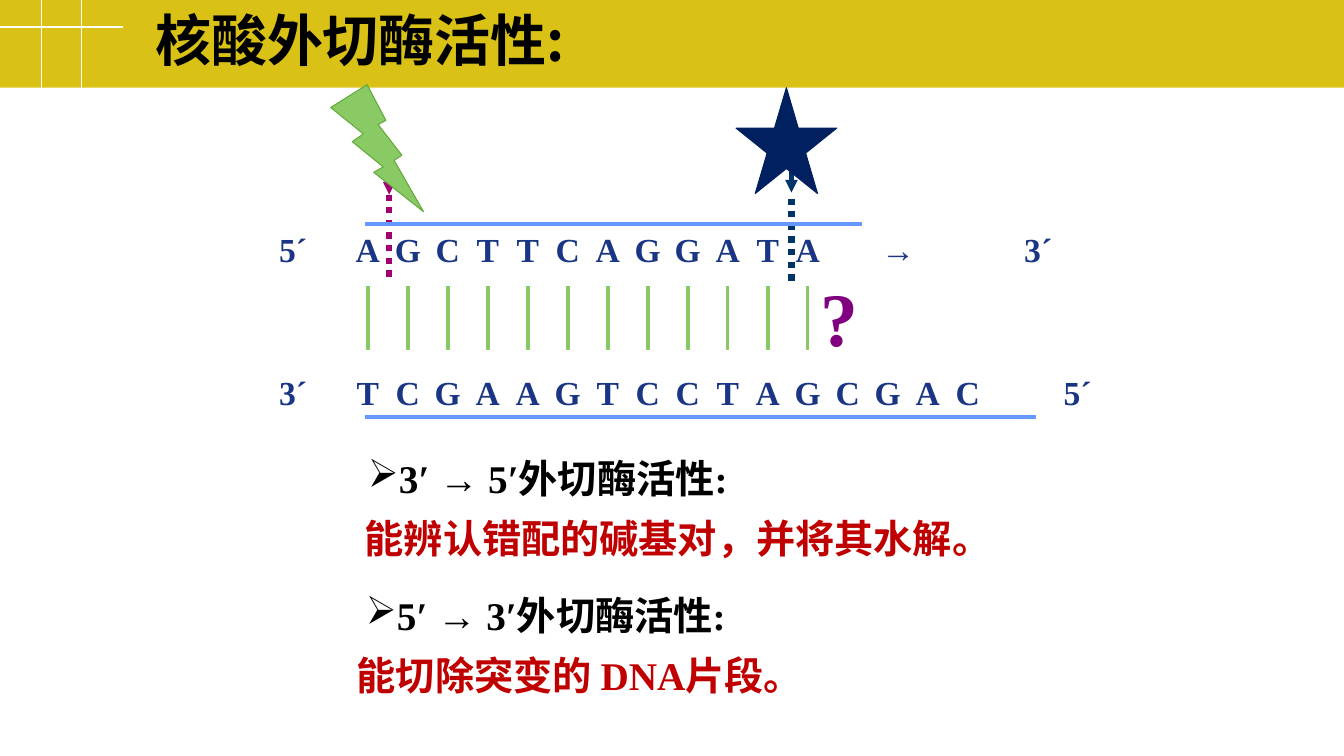
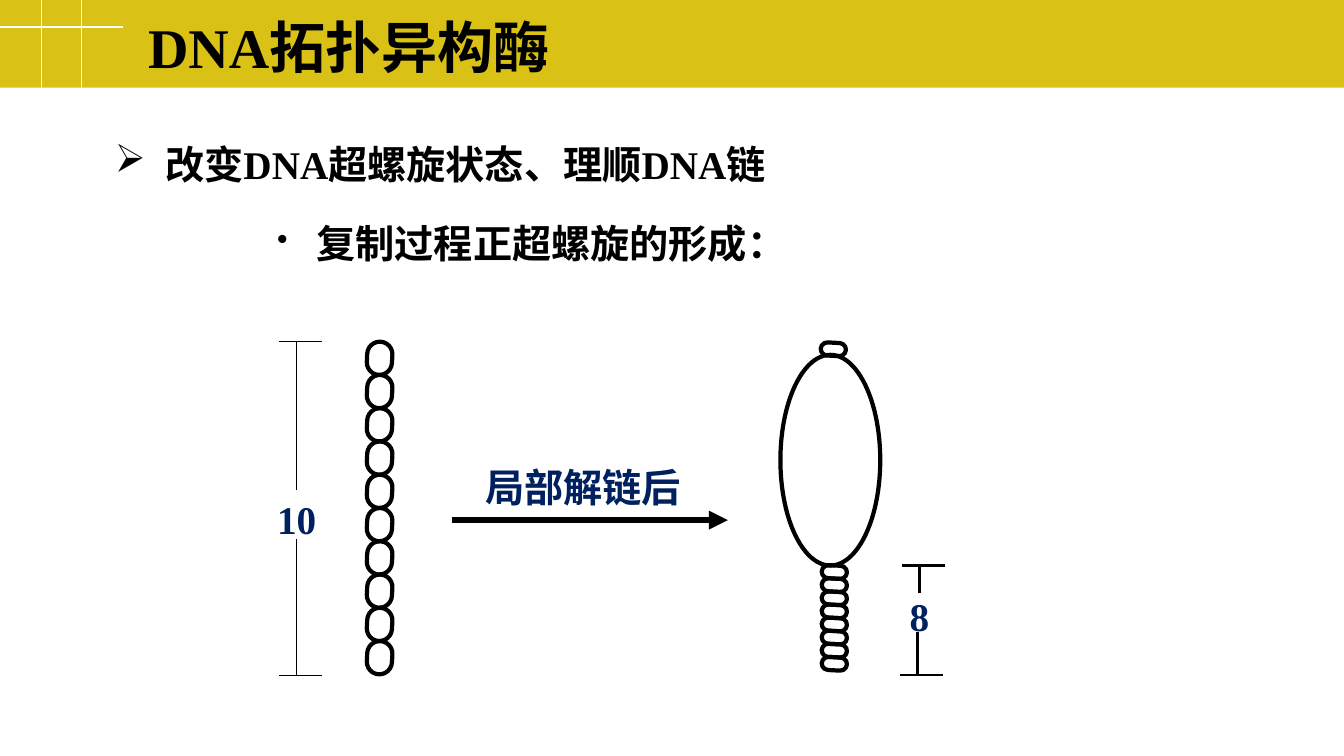
from dataclasses import dataclass

from lxml import etree
from pptx import Presentation
from pptx.dml.color import RGBColor
from pptx.enum.dml import MSO_LINE
from pptx.enum.shapes import MSO_CONNECTOR, MSO_SHAPE
from pptx.enum.text import MSO_ANCHOR, PP_ALIGN
from pptx.oxml.ns import qn
from pptx.util import Inches, Pt

STRAIGHT = MSO_CONNECTOR.STRAIGHT
DOTS = MSO_LINE.ROUND_DOT
RECT, OVAL, PILL = MSO_SHAPE.RECTANGLE, MSO_SHAPE.OVAL, MSO_SHAPE.ROUNDED_RECTANGLE
STAR, BOLT = MSO_SHAPE.STAR_5_POINT, MSO_SHAPE.LIGHTNING_BOLT
TOP, MIDDLE = MSO_ANCHOR.TOP, MSO_ANCHOR.MIDDLE
LEFT, CENTER = PP_ALIGN.LEFT, PP_ALIGN.CENTER

SERIF, SANS = "Times New Roman", "Noto Sans CJK SC"
COLORS = {
    "band": "D9C215", "white": "FFFFFF", "black": "000000", "navy": "002060",
    "base": "193583", "strand": "6699FF", "bond": "89CA64", "bolt edge": "62A93A",
    "red": "C00000", "purple": "800080", "magenta": "A20070", "teal": "003366",
}
INSET = 0.1

# Base-pair columns shared by both strands and the bonds between them
FIRST_BASE, LAST_BASE, BASE_COUNT = 3.65, 9.6, 16
PITCH = (LAST_BASE - FIRST_BASE) / (BASE_COUNT - 1)
BASE_X = [FIRST_BASE + PITCH * i for i in range(BASE_COUNT)]


@dataclass
class Line:
    x1: float
    y1: float
    x2: float
    y2: float
    color: str = "black"
    width: float = 1
    dotted: bool = False
    arrow: bool = False


@dataclass
class Shape:
    kind: int
    left: float
    top: float
    width: float
    height: float
    fill: str = ""
    line: str = ""
    weight: float = 0.75
    rotation: float = 0


@dataclass
class Bullet:
    char: str
    margin: float
    indent: float
    percent: int = 100


@dataclass
class Label:
    text: str
    left: float
    top: float
    width: float
    height: float = 0.57
    color: str = "black"
    size: float = 28
    font: str = SERIF
    align: int = LEFT
    anchor: int = TOP
    bullet: Bullet | None = None
    tabs: tuple[tuple[float, str], ...] = ()


def rgb(name: str) -> RGBColor:
    return RGBColor.from_string(COLORS[name])


def add_line(s, line: Line) -> None:
    ends = (line.x1, line.y1, line.x2, line.y2)
    cx = s.shapes.add_connector(STRAIGHT, *map(Inches, ends))
    cx.line.color.rgb = rgb(line.color)
    cx.line.width = Pt(line.width)
    if line.dotted:
        cx.line.dash_style = DOTS
    if line.arrow:
        etree.SubElement(cx.line._get_or_add_ln(), qn("a:tailEnd"), type="triangle")
    etree.SubElement(cx._element.spPr, qn("a:effectLst"))


def add_shape(s, shape: Shape) -> None:
    box = (shape.left, shape.top, shape.width, shape.height)
    sp = s.shapes.add_shape(shape.kind, *map(Inches, box))
    sp.shadow.inherit = False
    sp.rotation = shape.rotation
    if shape.kind == PILL:
        sp.adjustments[0] = 0.5
    if shape.fill:
        sp.fill.solid()
        sp.fill.fore_color.rgb = rgb(shape.fill)
    else:
        sp.fill.background()
    if shape.line:
        sp.line.color.rgb = rgb(shape.line)
        sp.line.width = Pt(shape.weight)
    else:
        sp.line.fill.background()


def add_bullet(p, bullet: Bullet) -> None:
    pPr = p._p.get_or_add_pPr()
    pPr.set("marL", str(Inches(bullet.margin)))
    pPr.set("indent", str(Inches(bullet.indent)))
    etree.SubElement(pPr, qn("a:buSzPct"), val=str(bullet.percent * 1000))
    etree.SubElement(pPr, qn("a:buChar"), char=bullet.char)


def add_tabs(p, tabs: tuple[tuple[float, str], ...], left: float) -> None:
    """Set tab stops given as slide positions in a box that starts at left."""
    tab_list = etree.SubElement(p._p.get_or_add_pPr(), qn("a:tabLst"))
    for x, align in tabs:
        pos = Inches(x - left - INSET)
        etree.SubElement(tab_list, qn("a:tab"), pos=str(pos), algn=align)


def add_label(s, label: Label) -> None:
    box = (label.left, label.top, label.width, label.height)
    tf = s.shapes.add_textbox(*map(Inches, box)).text_frame
    tf.word_wrap = True
    tf.vertical_anchor = label.anchor
    p = tf.paragraphs[0]
    p.alignment = label.align
    if label.bullet:
        add_bullet(p, label.bullet)
    if label.tabs:
        add_tabs(p, label.tabs, label.left)
    r = p.add_run()
    r.text = label.text
    formats = {"name": label.font, "size": Pt(label.size), "bold": True}
    for name, value in formats.items():
        setattr(r.font, name, value)
    r.font.color.rgb = rgb(label.color)
    etree.SubElement(r._r.get_or_add_rPr(), qn("a:ea"), typeface=SANS)


def add_titled_slide(prs, title: Label):
    s = prs.slides.add_slide(prs.slide_layouts[6])
    add_shape(s, Shape(RECT, 0, 0, 13.33, 0.87, "band"))
    for ends in ((0.81, 0, 0.81, 0.87), (0, 0.27, 1.22, 0.27), (0.41, 0, 0.41, 0.87)):
        add_line(s, Line(*ends, "white"))
    title.size, title.height, title.anchor = 40, 0.77, MIDDLE
    add_label(s, title)
    return s


def add_strand(s, top: float, words: list[str], end_tabs: list[tuple[float, str]]) -> None:
    """Write a strand: start mark, bases on the shared columns, then end marks."""
    bases = len(words) - 1 - len(end_tabs)
    tabs = (*((x, "ctr") for x in BASE_X[:bases]), *end_tabs)
    add_label(s, Label("\t".join(words), 2.67, top, 9, 0.5, "base", 24, tabs=tabs))


def add_bracket(s, x_top: float, x_bottom: float, top: float, bottom: float,
                gap: tuple[float, float], width: float) -> None:
    """Draw a capped vertical measure with a gap for its number."""
    for x, cap_y, stem_y in ((x_top, top, gap[0]), (x_bottom, bottom, gap[1])):
        add_line(s, Line(x - 0.17, cap_y, x + 0.25, cap_y, width=width))
        add_line(s, Line(x, cap_y, x, stem_y, width=width))


def add_beads(s, count: int, left: float, top: float, pitch: float,
              width: float) -> None:
    for i in range(count):
        add_shape(s, Shape(PILL, left, top + pitch * i, width, 0.25,
                           line="black", weight=3, rotation=93))


def build_exonuclease(prs) -> None:
    s = add_titled_slide(prs, Label("核酸外切酶活性:", 1.44, 0, 6.41, font=SANS))
    for x, y, color in ((3.86, 1.93, "magenta"), (7.85, 1.91, "teal")):
        add_line(s, Line(x, y - 0.42, x, y, color, 3, arrow=True))
    for x, y, color in ((3.86, 1.93, "magenta"), (7.85, 1.97, "teal")):
        add_line(s, Line(x, y, x, y + 0.83, color, 4.5, dotted=True))
    for right, y in ((10.28, 4.14), (8.55, 2.22)):
        add_line(s, Line(3.62, y, right, y, "strand", 3))
    add_strand(s, 2.22, ["5´", *"AGCTTCAGGATA", "→", "3´"],
               [(8.91, "ctr"), (10.16, "l")])
    add_strand(s, 3.64, ["3´", *"TCGAAGTCCTAGCGAC", "5´"], [(10.55, "l")])
    for x in BASE_X[:12]:
        add_line(s, Line(x, 2.84, x, 3.47, "bond", 2.25))

    add_shape(s, Shape(STAR, 7.3, 0.87, 1, 1.05, "navy", "navy"))
    add_shape(s, Shape(BOLT, 3.28, 0.84, 0.92, 1.26, "bond", "bolt edge"))
    arrowhead = Bullet("➢", 0, 0.39)
    for label in (
        Label("?", 8.04, 2.64, 0.58, 1, "purple", 54),
        Label("3′ → 5′外切酶活性:", 3.16, 4.46, 5.46, align=CENTER, bullet=arrowhead),
        Label("能辨认错配的碱基对，并将其水解。", 3.52, 5.05, 7.17, color="red"),
        Label("5′ → 3′外切酶活性:", 3.14, 5.82, 5.23, bullet=arrowhead),
        Label("能切除突变的 DNA片段。", 3.44, 6.41, 5.83, color="red"),
    ):
        label.align = LEFT
        add_label(s, label)


def build_topoisomerase(prs) -> None:
    s = add_titled_slide(prs, Label("DNA拓扑异构酶", 1.37, 0.07, 8.55))
    add_beads(s, 10, 3.6, 3.43, 0.33, 0.33)
    add_beads(s, 1, 8.2, 3.34, 0, 0.13)
    add_beads(s, 8, 8.21, 5.55, 0.13, 0.13)
    add_shape(s, Shape(OVAL, 7.74, 3.52, 0.99, 2.09, line="black", weight=3))
    add_bracket(s, 2.94, 2.94, 3.39, 6.7, (4.86, 5.35), 1)
    add_bracket(s, 9.12, 9.1, 5.61, 6.7, (5.88, 6.27), 1.5)
    add_line(s, Line(4.48, 5.16, 7.22, 5.16, width=4.5, arrow=True))
    for label in (
        Label("改变DNA超螺旋状态、理顺DNA链", 1.04, 1.34, 6.73,
              bullet=Bullet("➢", 0.5, -0.5)),
        Label("复制过程正超螺旋的形成：", 2.65, 2.13, 5.98, font=SANS,
              bullet=Bullet("•", 0.39, -0.39, 80)),
        Label("10", 2.65, 4.86, 0.99, color="navy"),
        Label("8", 8.76, 5.83, 0.72, color="navy", align=CENTER),
        Label("局部解链后", 4.28, 4.55, 3.01, color="navy", align=CENTER),
    ):
        add_label(s, label)


def main() -> None:
    prs = Presentation()
    prs.slide_width, prs.slide_height = Inches(13.33), Inches(7.5)
    build_exonuclease(prs)
    build_topoisomerase(prs)
    prs.save("out.pptx")


if __name__ == "__main__":
    main()
